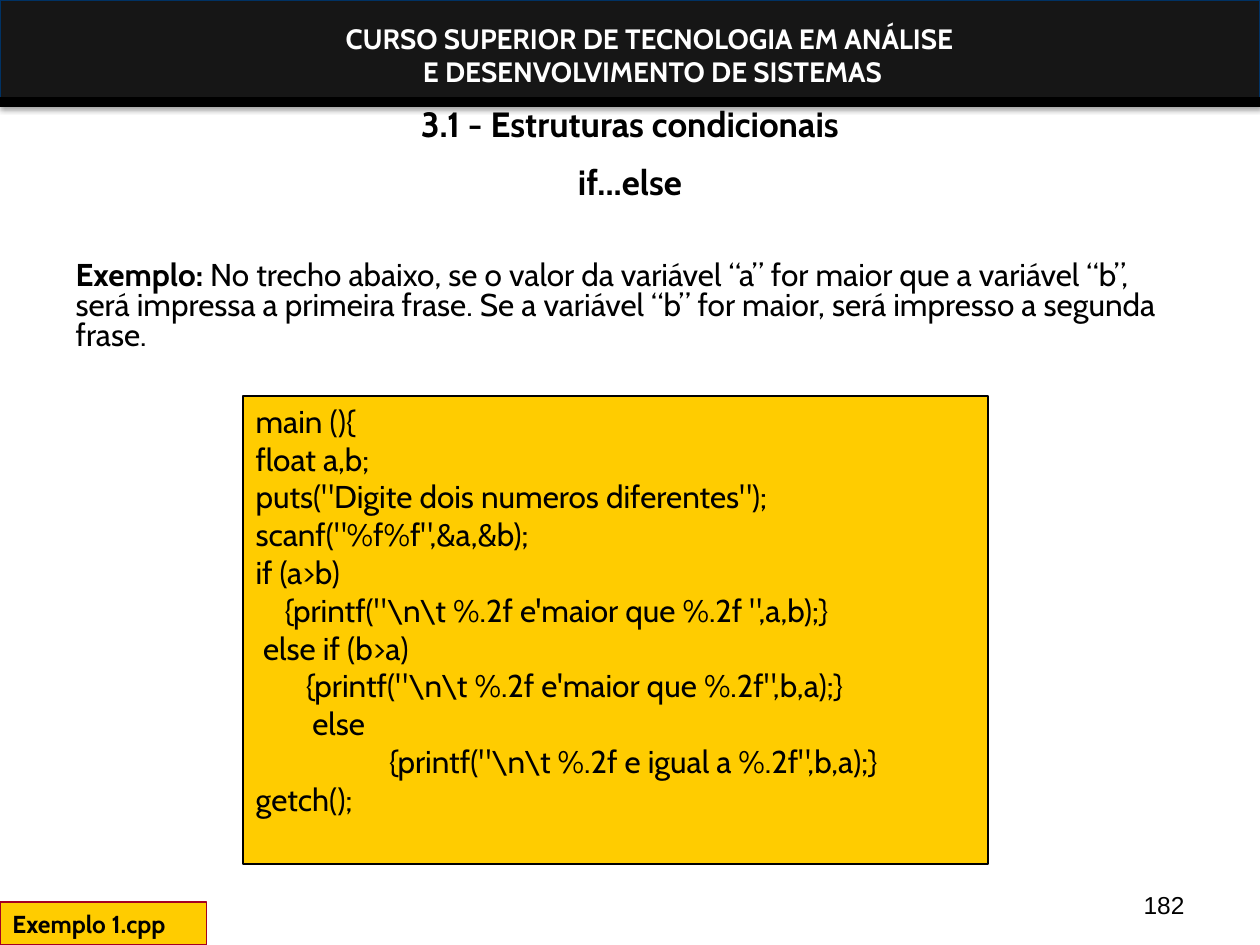
from lxml.etree import SubElement
from pptx import Presentation
from pptx.dml.color import RGBColor
from pptx.enum.shapes import MSO_CONNECTOR as Connector, MSO_SHAPE as Shape
from pptx.enum.text import MSO_ANCHOR as Anchor, PP_ALIGN as Align
from pptx.oxml.ns import qn
from pptx.util import Inches, Pt

# Content: each paragraph is a list of (text, bold) runs
HEADER = [[("CURSO SUPERIOR DE TECNOLOGIA EM ANÁLISE ", True)],
          [("E DESENVOLVIMENTO DE SISTEMAS", True)]]
TITLE = [[("3.1 - Estruturas condicionais", True)], [("if...else", True)]]
BODY = [[("Exemplo:", True),
         (" No trecho abaixo, se o valor da variável “a” for maior que a variável “b”, "
          "será impressa a primeira frase. Se a variável “b” for maior, "
          "será impresso a segunda frase.", False)]]
# Code lines with their indent in inches
CODE = [
    (0, "main (){"),
    (0, "float a,b;"),
    (0, 'puts("Digite dois numeros diferentes");'),
    (0, 'scanf("%f%f",&a,&b);'),
    (0, "if (a>b)"),
    (0.23, r"""{printf("\n\t %.2f e'maior que %.2f ",a,b);}"""),
    (0.06, "else if (b>a)"),
    (0.4, r"""{printf("\n\t %.2f e'maior que %.2f",b,a);}"""),
    (0.45, "else"),
    (1.06, r"""{printf("\n\t %.2f e igual a %.2f",b,a);}"""),
    (0, "getch();"),
]
FILE_LABEL = [[("Exemplo 1.cpp", True)]]
PAGE_NUMBER = [[("182", False)]]
BLACK, WHITE, YELLOW = "000000", "FFFFFF", "FFCC00"


def color(hex_value):
    return RGBColor.from_string(hex_value)


def place(shape, box):
    for name, value in zip(("left", "top", "width", "height"), box):
        setattr(shape, name, Inches(value))


def write(shape, paragraphs, size, font="Cabin", ink=BLACK, indents=None,
          frame_format=None, paragraph_format=None):
    frame = shape.text_frame
    frame_values = {"word_wrap": True, "vertical_anchor": Anchor.TOP} | (frame_format or {})
    for name, value in frame_values.items():
        setattr(frame, name, value)
    paragraph_values = {"alignment": Align.LEFT, "space_before": Pt(0)} | (paragraph_format or {})
    for index, runs in enumerate(paragraphs):
        paragraph = frame.add_paragraph() if index else frame.paragraphs[0]
        for name, value in paragraph_values.items():
            setattr(paragraph, name, value)
        properties = paragraph._p.get_or_add_pPr()
        properties.set("marL", str(Inches(indents[index] if indents else 0)))
        properties.set("indent", "0")
        SubElement(properties, qn("a:buNone"))
        for text, bold in runs:
            run = paragraph.add_run()
            run.text = text
            values = {"name": font, "size": Pt(size), "bold": bold}
            for name, value in values.items():
                setattr(run.font, name, value)
            run.font.color.rgb = color(ink)


def add_rectangle(slide, box, fill, line, line_width):
    shape = slide.shapes.add_shape(Shape.RECTANGLE, *map(Inches, box))
    shape.shadow.inherit = False
    shape.fill.solid()
    shape.fill.fore_color.rgb = color(fill)
    shape.line.color.rgb = color(line)
    shape.line.width = Pt(line_width)
    return shape


def add_text(slide, box, paragraphs, size, **options):
    write(slide.shapes.add_textbox(*map(Inches, box)), paragraphs, size, **options)


def add_shadow(shape, ink, opacity, blur, distance, angle):
    effects = shape._element.spPr.find(qn("a:effectLst"))
    shadow = SubElement(effects, qn("a:outerShdw"), blurRad=str(Pt(blur)),
                        dist=str(Pt(distance)), dir=str(angle * 60000), rotWithShape="0")
    shadow_color = SubElement(shadow, qn("a:srgbClr"), val=ink)
    SubElement(shadow_color, qn("a:alpha"), val=str(opacity * 1000))


def main():
    presentation = Presentation()
    presentation.slide_width, presentation.slide_height = Inches(10), Inches(7.5)
    slide = presentation.slides.add_slide(presentation.slide_layouts[1])
    centered = {"alignment": Align.CENTER}

    # Header band
    band = add_rectangle(slide, (0, 0, 10, 0.84), "161616", "003264", 0.75)
    add_shadow(band, BLACK, 35, 3.1, 1.8, 90)
    add_text(slide, (1.3, 0.12, 7.76, 0.64), HEADER, 16, ink=WHITE,
             paragraph_format=centered)
    rule = slide.shapes.add_connector(Connector.STRAIGHT, 0, Inches(0.81),
                                      Inches(10), Inches(0.81))
    rule.line.color.rgb = color(BLACK)
    rule.line.width = Pt(6)
    SubElement(rule._element.spPr, qn("a:effectLst"))

    # Title and explanation
    title, body = slide.shapes.title, slide.placeholders[1]
    place(title, (0.5, 0.42, 9, 1.5))
    write(title, TITLE, 20,
          frame_format={"vertical_anchor": Anchor.MIDDLE, "margin_top": Inches(0.13)},
          paragraph_format=centered | {"space_before": Pt(9)})
    place(body, (0.5, 1.55, 8.99, 5.04))
    write(body, BODY, 18, frame_format={"margin_top": Inches(0.53)},
          paragraph_format={"line_spacing": 0.8})

    # Code listing
    listing = add_rectangle(slide, (1.93, 3.14, 5.91, 3.72), YELLOW, BLACK, 1)
    write(listing, [[(text, False)] for _, text in CODE], 18,
          indents=[indent for indent, _ in CODE])

    # File label and page number
    label = add_rectangle(slide, (0, 7.16, 1.64, 0.34), YELLOW, "A50021", 0.75)
    write(label, FILE_LABEL, 14, frame_format={"vertical_anchor": Anchor.MIDDLE})
    add_text(slide, (7.17, 6.83, 2.33, 0.52), PAGE_NUMBER, 14, font="Arial",
             frame_format={"vertical_anchor": Anchor.BOTTOM},
             paragraph_format={"alignment": Align.RIGHT})

    presentation.save("out.pptx")


if __name__ == "__main__":
    main()
